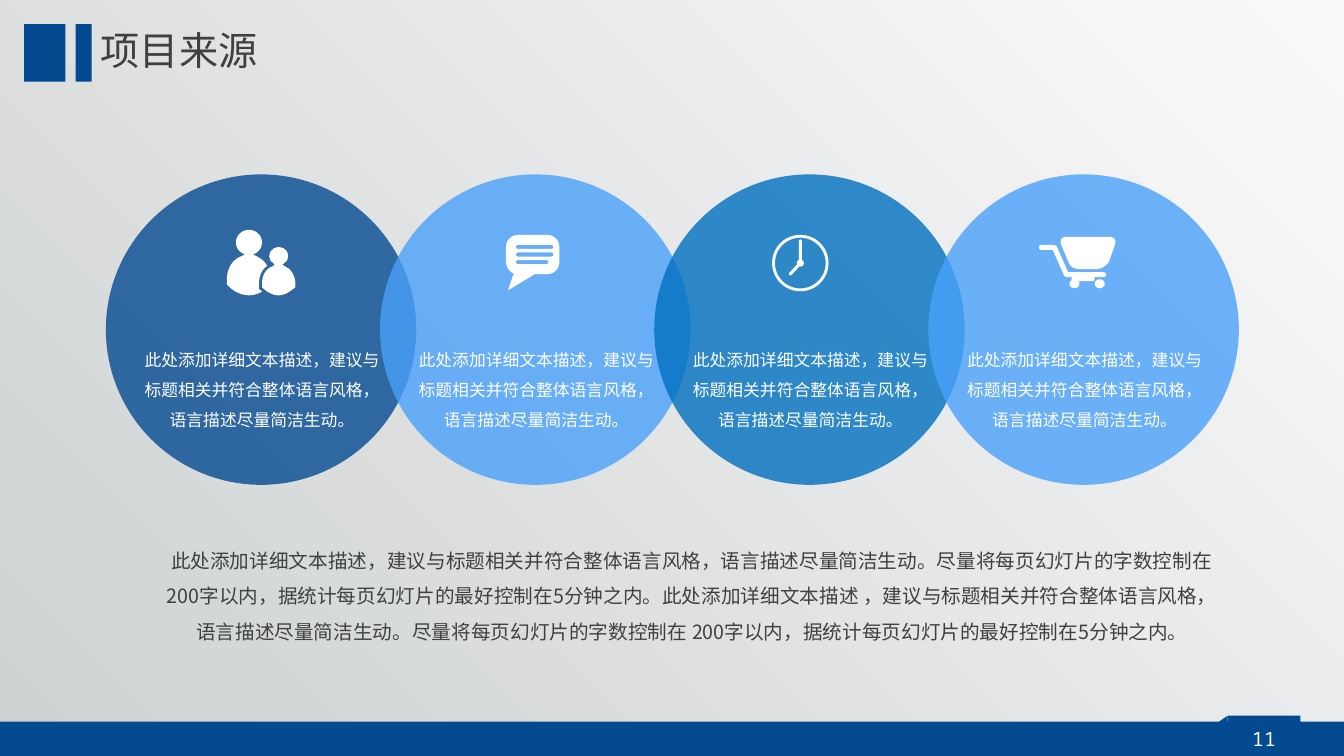
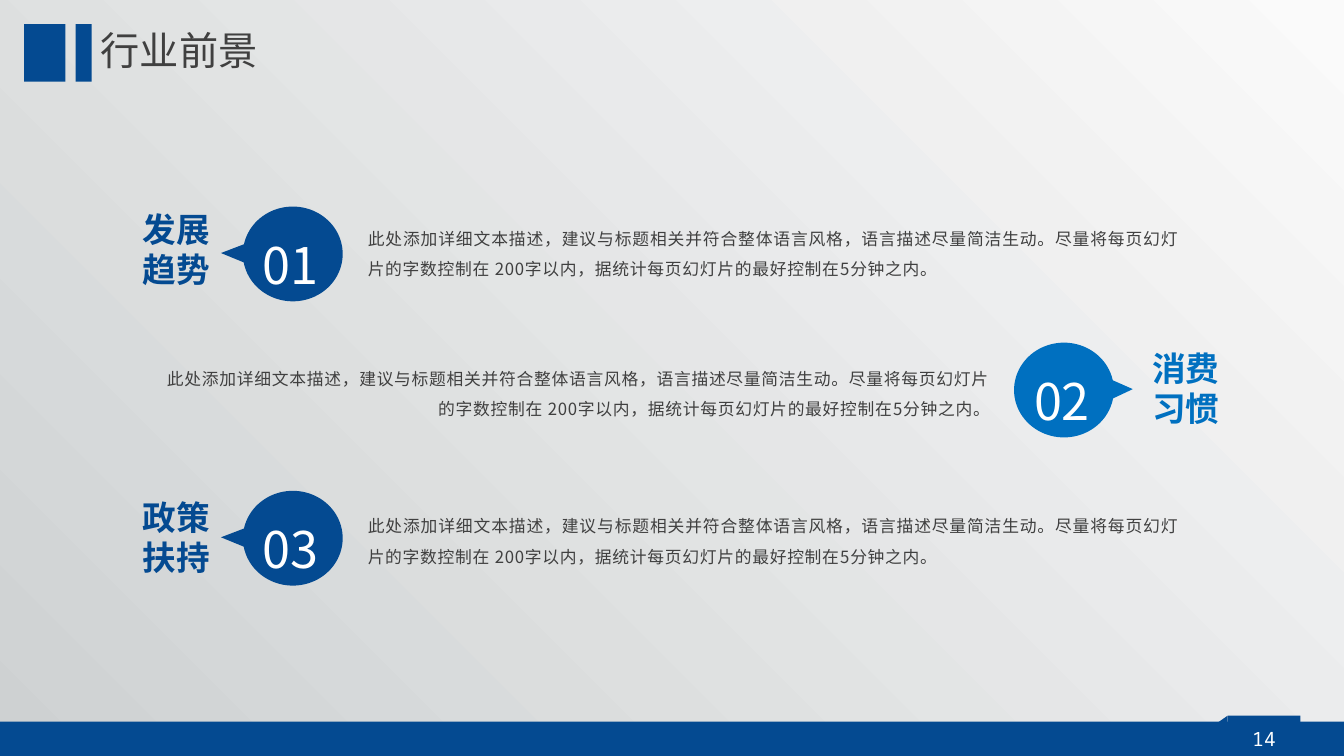
import dataclasses
import math
import typing

import pptx
import pptx.dml.color
import pptx.enum.dml
import pptx.enum.shapes
import pptx.enum.text
import pptx.oxml.ns
import pptx.util
from lxml import etree

# All lengths are cells of a square grid, 75 rows high.
ROWS = 75
COLS = 133.33
CELL = pptx.util.Inches(7.5) / ROWS

NAVY, BLUE, SKY = "044A91", "0070C0", "49A1FA"
WHITE, GREY = "FFFFFF", "404040"
BACK_DARK, BACK_LIGHT = "CED1D2", "FAFAFA"
SANS, MONO = "Noto Sans CJK SC", "Noto Sans Mono"

SHAPE = pptx.enum.shapes.MSO_SHAPE
ALIGN = pptx.enum.text.PP_ALIGN
qn = pptx.oxml.ns.qn

INTRO = "此处添加详细文本描述，建议与标题相关并符合整体语言风格，语言描述尽量简洁生动。"
INTRO_SPACED = INTRO.replace("描述，", "描述 ，", 1)
ADVICE = "尽量将每页幻灯片的字数控制在 200字以内，据统计每页幻灯片的最好控制在5分钟之内。"

Point = tuple[float, float]


class Box(typing.NamedTuple):
    x: float
    y: float
    w: float
    h: float


@dataclasses.dataclass
class Style:
    size: float
    color: str
    font: str = SANS
    bold: bool = False
    align: typing.Any = ALIGN.LEFT
    leading: float = 1.0
    tracking: float = 0


TITLE = Style(28, GREY, MONO, leading=0.9)
PAGE_NUMBER = Style(14, WHITE, MONO, align=ALIGN.CENTER)
SUMMARY = Style(14, GREY, align=ALIGN.CENTER, leading=1.5)
CAPTION = Style(12, WHITE, align=ALIGN.CENTER, leading=1.5)
ORDINAL = Style(36, WHITE, align=ALIGN.JUSTIFY, leading=1.5)
DETAIL = Style(12, GREY, align=ALIGN.JUSTIFY, leading=1.5, tracking=0.5)


def rgb(color: str) -> pptx.dml.color.RGBColor:
    return pptx.dml.color.RGBColor.from_string(color)


def cells(n: float) -> pptx.util.Emu:
    return pptx.util.Emu(round(n * CELL))


def place(box: Box) -> tuple:
    return tuple(cells(n) for n in box)


def paint(sp, color: str, alpha: int = 100):
    """Flat fill without line or shadow; alpha is a percentage."""
    sp.shadow.inherit = False
    sp.line.fill.background()
    sp.fill.solid()
    sp.fill.fore_color.rgb = rgb(color)
    if alpha < 100:
        clr = next(sp._element.spPr.iter(qn("a:srgbClr")))
        etree.SubElement(clr, qn("a:alpha"), val=str(alpha * 1000))
    return sp


def add_preset(shapes, kind, box: Box, color: str, alpha: int = 100):
    return paint(shapes.add_shape(kind, *place(box)), color, alpha)


def write(tf, lines: typing.Sequence[str], style: Style) -> None:
    for i, line in enumerate(lines):
        p = tf.add_paragraph() if i else tf.paragraphs[0]
        p.alignment, p.line_spacing = style.align, style.leading
        r = p.add_run()
        r.text = line
        r.font.size, r.font.bold = pptx.util.Pt(style.size), style.bold
        r.font.color.rgb = rgb(style.color)
        r.font.name = style.font
        rpr = r._r.get_or_add_rPr()
        etree.SubElement(rpr, qn("a:ea"), typeface=style.font)
        if style.tracking:
            rpr.set("spc", str(round(style.tracking * 100)))


def add_text(shapes, box: Box, lines: typing.Sequence[str], style: Style,
             wrap: bool = True, inset: bool = True) -> None:
    tf = shapes.add_textbox(*place(box)).text_frame
    tf.word_wrap = wrap
    if not inset:
        tf.margin_left = tf.margin_right = tf.margin_top = tf.margin_bottom = 0
    write(tf, lines, style)


def trace(start: Point, *steps: tuple) -> list[Point]:
    """Points of an outline: pairs are lines, sixes are cubic curves."""
    points = [start]
    for step in steps:
        if len(step) == 2:
            points.append(step)
            continue
        knots = [points[-1], step[:2], step[2:4], step[4:]]
        for i in range(1, 9):
            t = i / 8
            weights = [math.comb(3, k) * t**k * (1 - t)**(3 - k) for k in range(4)]
            points.append(tuple(sum(w * knot[axis] for w, knot in zip(weights, knots))
                                for axis in (0, 1)))
    return points


def rounded(box: Box, radius: float) -> list[Point]:
    """Points of a rectangle with rounded corners."""
    right, bottom = box.x + box.w - radius, box.y + box.h - radius
    left, top = box.x + radius, box.y + radius
    corners = [(right, bottom), (left, bottom), (left, top), (right, top)]
    return [(cx + radius * math.cos(a), cy + radius * math.sin(a))
            for quarter, (cx, cy) in enumerate(corners)
            for a in (math.radians(90 * quarter + 15 * i) for i in range(7))]


@dataclasses.dataclass
class Icon:
    """Draws white parts placed from the top left corner of a disc."""
    shapes: typing.Any
    x: float
    y: float

    def preset(self, kind, x: float, y: float, w: float, h: float):
        return add_preset(self.shapes, kind, Box(self.x + x, self.y + y, w, h), WHITE)

    def freeform(self, contours: list[list[Point]], close: bool):
        paths = [[(cells(self.x + x), cells(self.y + y)) for x, y in c] for c in contours]
        fb = self.shapes.build_freeform(*paths[0][0])
        for i, path in enumerate(paths):
            if i:
                fb.move_to(*path[0])
            fb.add_line_segments(path[1:], close=close)
        return fb.convert_to_shape()

    def solid(self, *contours: list[Point]) -> None:
        paint(self.freeform(list(contours), True), WHITE)

    def stroke(self, width: float, *points: Point) -> None:
        sp = self.freeform([list(points)], False)
        sp.shadow.inherit = False
        sp.fill.background()
        sp.line.color.rgb = rgb(WHITE)
        sp.line.width = pptx.util.Pt(width)
        ln = sp._element.spPr.find(qn("a:ln"))
        ln.set("cap", "rnd")
        etree.SubElement(ln, qn("a:round"))


def draw_people(icon: Icon) -> None:
    icon.preset(SHAPE.OVAL, 12.9, 5.5, 2.6, 2.5)
    icon.solid(trace((15.2, 11.4), (15.2, 10.8), (15.2, 10.1, 15.5, 9.4, 16, 9.1),
                     (15.8, 8.6, 15.3, 8.3, 14.9, 8.1), (14.2, 7.7), (13.5, 8.1),
                     (12.6, 8.4, 12, 9.3, 12, 10.5), (12, 10.9),
                     (12.5, 11.5, 13.3, 12, 14.2, 12),
                     (14.6, 12, 15.1, 11.9, 15.5, 11.6)))
    icon.preset(SHAPE.OVAL, 16.2, 7.2, 1.9, 1.8)
    icon.solid(trace((17.7, 9.1), (17.1, 8.5), (16.6, 9.1),
                     (15.9, 9.3, 15.5, 10, 15.5, 10.8), (15.5, 11.2),
                     (16, 11.7, 16.6, 12, 17.1, 12),
                     (17.8, 12, 18.3, 11.6, 18.8, 11.2), (18.8, 10.8),
                     (18.8, 10, 18.3, 9.3, 17.7, 9.1)))


def draw_speech(icon: Icon) -> None:
    slots = [rounded(Box(13.5, 7 + 0.75 * i, w, 0.4), 0.2)
             for i, w in enumerate((3.7, 3.7, 3.2))]
    icon.solid(rounded(Box(12.5, 6, 5.3, 3.9), 1.2), *slots)
    icon.solid([(13.3, 9.7), (12.7, 11.5), (15.5, 9.8)])


def draw_clock(icon: Icon) -> None:
    icon.preset(SHAPE.DONUT, 11.7, 6, 5.6, 5.6).adjustments[0] = 0.05
    icon.stroke(2.2, (14.5, 6.6), (14.5, 8.8), (13.5, 9.9))
    icon.preset(SHAPE.OVAL, 14.15, 8.45, 0.7, 0.7)


def draw_cart(icon: Icon) -> None:
    icon.solid(trace((16.7, 9.4), (17.1, 9.4, 17.6, 9.1, 17.9, 8.7), (18.5, 7),
                     (18.7, 6.5, 18.4, 6.2, 18, 6.2), (13.7, 6.2),
                     (13.2, 6.2, 13, 6.5, 13.2, 7), (13.9, 8.7),
                     (14, 9.1, 14.5, 9.4, 15, 9.4)))
    for x in (14, 16.5):
        icon.preset(SHAPE.OVAL, x, 10.4, 1, 0.9)
    icon.stroke(3.6, (11.2, 7.25), (12.5, 7.25), (13.7, 9.95), (17.4, 9.95))
    icon.solid(rounded(Box(14.2, 10.1, 2.3, 0.5), 0.25))


@dataclasses.dataclass
class Disc:
    color: str
    draw_icon: typing.Callable[[Icon], None]


DISCS = [Disc(NAVY, draw_people), Disc(SKY, draw_speech),
         Disc(BLUE, draw_clock), Disc(SKY, draw_cart)]
DISC_LEFT, DISC_TOP, DISC_SIZE, DISC_PITCH = 10.5, 17.3, 30.8, 27.2


@dataclasses.dataclass
class Topic:
    number: str
    heading: tuple[str, str]
    top: float
    heading_top: float
    detail_top: float
    mirrored: bool = False


TOPICS = [Topic("01", ("发展", "趋势"), 20.5, 20.2, 21.2),
          Topic("02", ("消费", "习惯"), 34, 34, 35.1, mirrored=True),
          Topic("03", ("政策", "扶持"), 48.7, 48.8, 49.7)]


def style_master(prs) -> None:
    fill = prs.slide_master.background.fill
    fill.gradient()
    fill.gradient_angle = 45
    for stop, color, position in zip(fill.gradient_stops, (BACK_DARK, BACK_LIGHT), (0, 1)):
        stop.color.rgb, stop.position = rgb(color), position


def add_page(prs, title: str, number: int):
    """Slide with title, title bars, bottom band and page number."""
    s = prs.slides.add_slide(prs.slide_layouts.get_by_name("Title Only"))
    bands = [Box(0, 71.6, COLS, 3.4), Box(121.8, 71, 7.2, 4),
             Box(2.4, 2.4, 4.1, 5.7), Box(7.5, 2.4, 1.6, 5.7)]
    for band in bands:
        add_preset(s.shapes, SHAPE.RECTANGLE, band, NAVY)
    fold = add_preset(s.shapes, SHAPE.RIGHT_TRIANGLE, Box(119.8, 71, 2, 1.4), NAVY)
    fold._element.spPr.find(qn("a:xfrm")).set("flipH", "1")
    add_text(s.shapes, Box(123.2, 71.6, 4.4, 3.4), [str(number)], PAGE_NUMBER, wrap=False)

    sp = s.shapes.title
    sp.left, sp.top, sp.width, sp.height = place(Box(9, 2.4, 52.5, 5.7))
    tf = sp.text_frame
    tf.auto_size = pptx.enum.text.MSO_AUTO_SIZE.NONE
    tf.vertical_anchor = pptx.enum.text.MSO_ANCHOR.MIDDLE
    write(tf, [title], TITLE)
    return s


def add_disc(shapes, x: float, disc: Disc) -> None:
    add_preset(shapes, SHAPE.OVAL, Box(x, DISC_TOP, DISC_SIZE, DISC_SIZE), disc.color, 80)
    disc.draw_icon(Icon(shapes, x, DISC_TOP))
    add_text(shapes, Box(x + 2.4, DISC_TOP + 15.9, 26.2, 10.1), [INTRO], CAPTION)


def add_topic(shapes, topic: Topic) -> None:
    if topic.mirrored:
        color, x, heading_x, pointer = BLUE, 100.6, 113.3, (0.69, -0.01)
        detail_x, detail_w, align = 14.7, 84.5, ALIGN.RIGHT
    else:
        color, x, heading_x, pointer = NAVY, 24.1, 13.2, (-0.72, -0.01)
        detail_x, detail_w, align = 35.5, 82.5, ALIGN.JUSTIFY
    sp = add_preset(shapes, SHAPE.OVAL_CALLOUT, Box(x, topic.top, 9.9, 9.4), color)
    sp.adjustments[0], sp.adjustments[1] = pointer
    add_text(shapes, Box(x + 1, topic.top - 0.8, 9, 9), [topic.number], ORDINAL)
    add_text(shapes, Box(detail_x, topic.detail_top, detail_w, 6.7), [INTRO + ADVICE],
             dataclasses.replace(DETAIL, align=align))
    add_text(shapes, Box(heading_x, topic.heading_top, 8.8, 9.1), topic.heading,
             Style(24, color, MONO, bold=True), wrap=False)


def main() -> None:
    prs = pptx.Presentation()
    prs.slide_width, prs.slide_height = cells(COLS), cells(ROWS)
    style_master(prs)

    s = add_page(prs, "项目来源", 11)
    add_text(s.shapes, Box(15.6, 53.3, 106.1, 10.9),
             [INTRO + ADVICE + INTRO_SPACED + ADVICE], SUMMARY, inset=False)
    for i, disc in enumerate(DISCS):
        add_disc(s.shapes, DISC_LEFT + i * DISC_PITCH, disc)

    s = add_page(prs, "行业前景", 14)
    for topic in TOPICS:
        add_topic(s.shapes, topic)

    prs.save("out.pptx")


if __name__ == "__main__":
    main()
